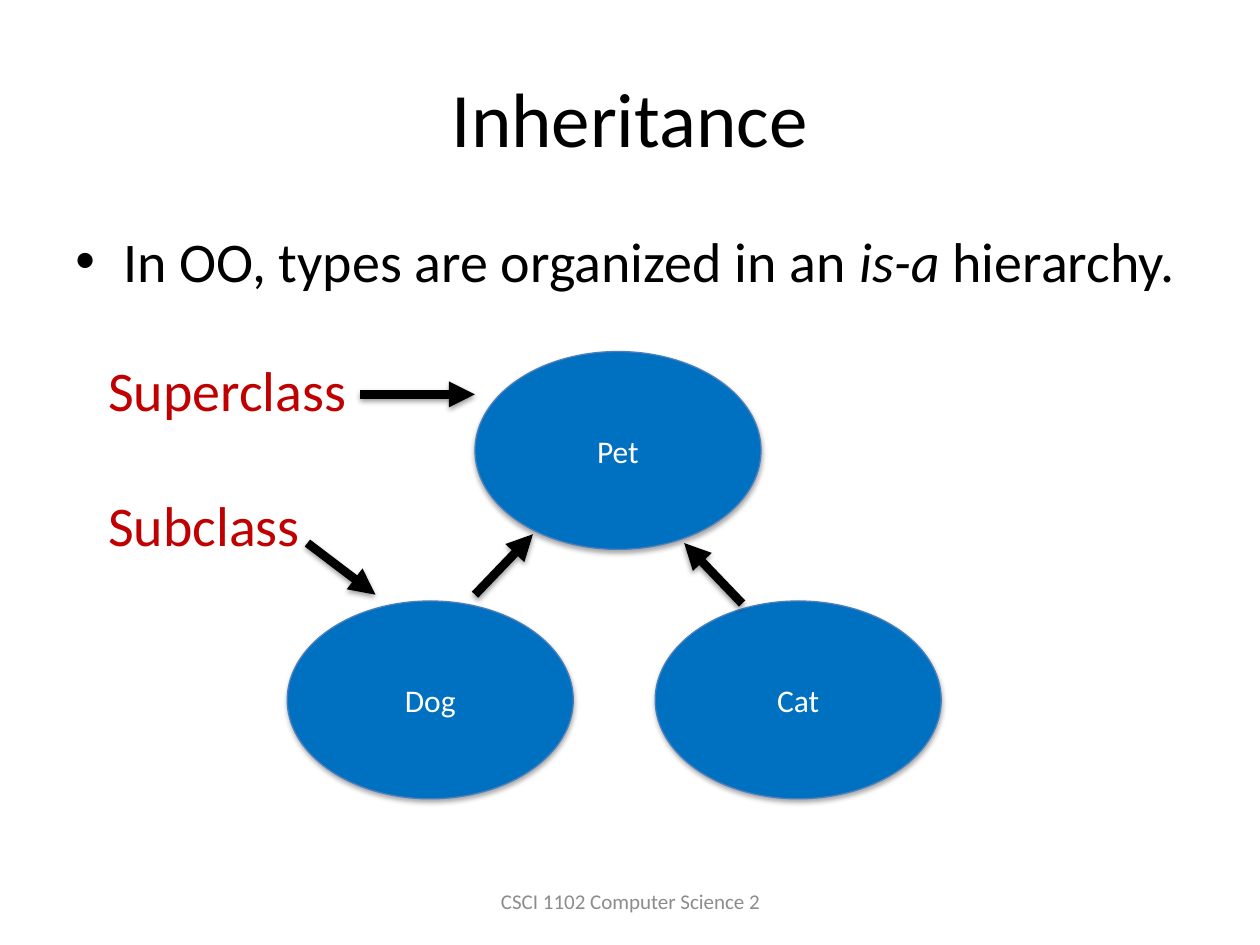
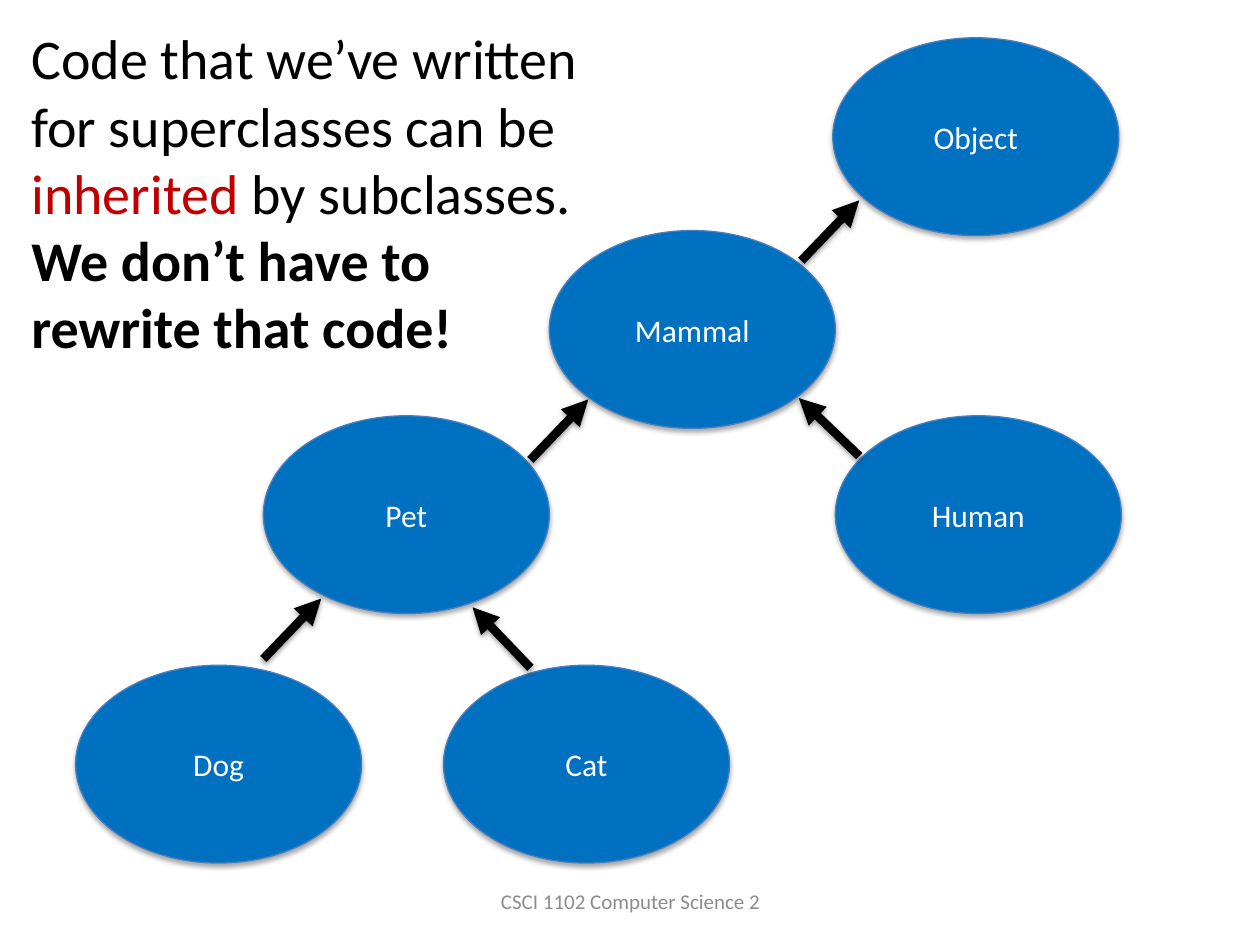
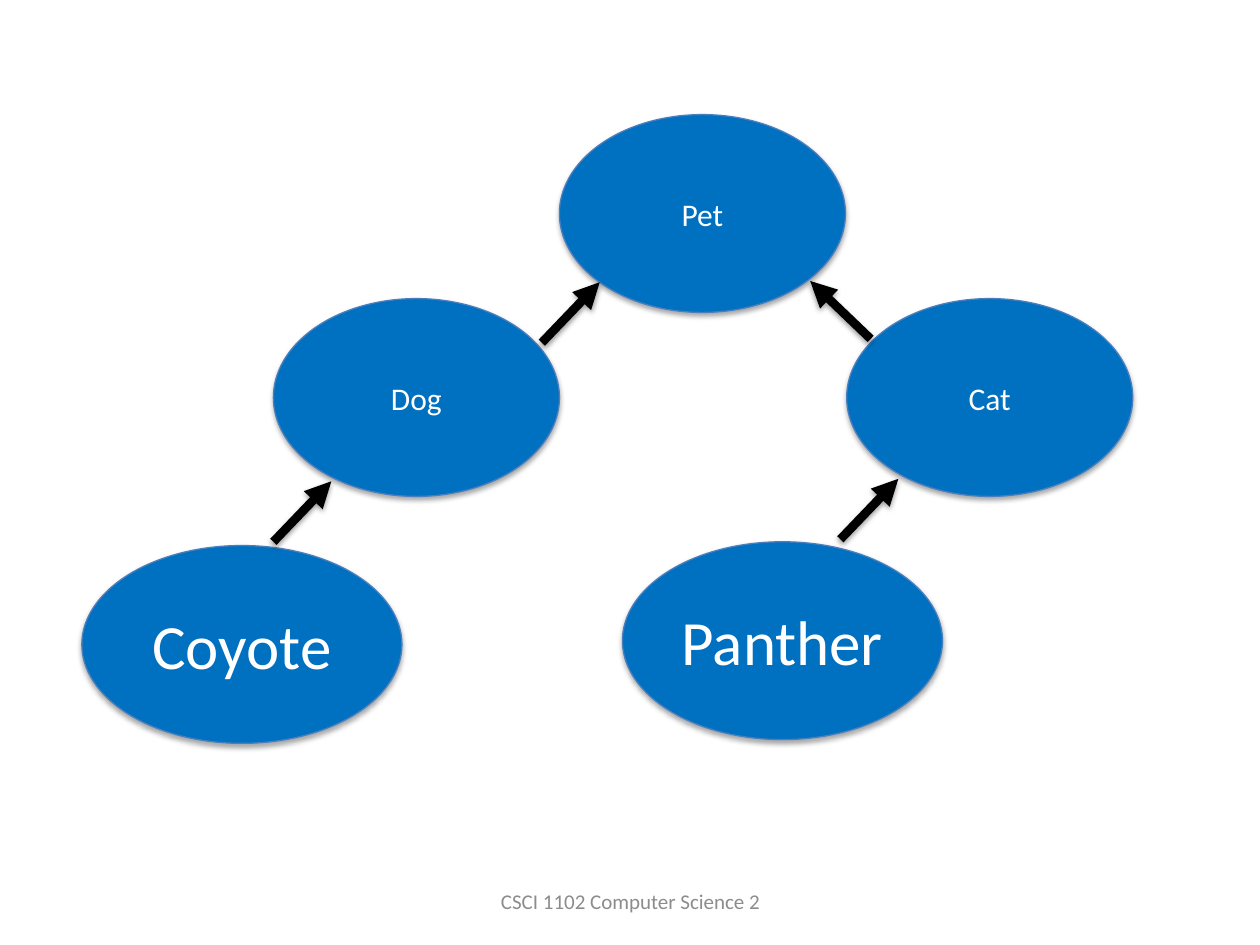
from dataclasses import dataclass

from lxml import etree
from pptx import Presentation
from pptx import util as u
from pptx.dml import color
from pptx.enum import shapes, text
from pptx.oxml import ns

COLORS = {
    "black": "000000",
    "white": "FFFFFF",
    "red": "C00000",
    "gray": "8C8C8C",
    "node": "0070C0",
    "outline": "4B7EBC",
}
FONT = "Calibri"
NODE_W, NODE_H, WIDE_NODE_W = 2.27, 1.57, 2.54
UP_RIGHT = (0.46, -0.48)
UP_LEFT = (-0.46, -0.48)
FLAT_UP_LEFT = (-0.48, -0.46)


@dataclass(frozen=True)
class Node:
    label: str
    x: float
    y: float
    w: float = NODE_W
    size: int = 18


@dataclass(frozen=True)
class Arrow:
    x: float
    y: float
    step: tuple[float, float]


def rgb(name: str) -> color.RGBColor:
    return color.RGBColor.from_string(COLORS[name])


def add_run(p, content: str, *, size: int = 32, fill: str = "black",
            bold: bool = False, italic: bool = False) -> None:
    r = p.add_run()
    r.text = content
    r.font.name = FONT
    r.font.size = u.Pt(size)
    r.font.bold = bold
    r.font.italic = italic
    r.font.color.rgb = rgb(fill)


def add_box(s, x: float, y: float, w: float, h: float, *, wrap: bool = True,
            anchor=text.MSO_ANCHOR.TOP, align=text.PP_ALIGN.LEFT):
    tf = s.shapes.add_textbox(*map(u.Inches, (x, y, w, h))).text_frame
    tf.word_wrap = wrap
    tf.vertical_anchor = anchor
    tf.paragraphs[0].alignment = align
    return tf


def add_centered(s, content: str, x: float, y: float, w: float, h: float,
                 **style) -> None:
    tf = add_box(s, x, y, w, h, anchor=text.MSO_ANCHOR.MIDDLE,
                 align=text.PP_ALIGN.CENTER)
    add_run(tf.paragraphs[0], content, **style)


def add_shadow(sp, distance: float, opacity: int) -> None:
    props = sp._element.spPr
    for old in props.findall(ns.qn("a:effectLst")):
        props.remove(old)
    effects = etree.SubElement(props, ns.qn("a:effectLst"))
    shadow = etree.SubElement(
        effects, ns.qn("a:outerShdw"), blurRad=str(u.Pt(3.1)),
        dist=str(u.Pt(distance)), dir="5400000", rotWithShape="0")
    tone = etree.SubElement(shadow, ns.qn("a:srgbClr"), val=COLORS["black"])
    etree.SubElement(tone, ns.qn("a:alpha"), val=str(opacity * 1000))


def add_node(s, node: Node) -> None:
    sp = s.shapes.add_shape(
        shapes.MSO_SHAPE.OVAL,
        *map(u.Inches, (node.x, node.y, node.w, NODE_H)))
    sp.fill.solid()
    sp.fill.fore_color.rgb = rgb("node")
    sp.line.color.rgb = rgb("outline")
    sp.line.width = u.Pt(0.75)
    add_shadow(sp, 1.8, 35)
    tf = sp.text_frame
    tf.margin_left = tf.margin_right = 0
    tf.vertical_anchor = text.MSO_ANCHOR.MIDDLE
    p = tf.paragraphs[0]
    p.alignment = text.PP_ALIGN.CENTER
    add_run(p, node.label, size=node.size, fill="white")


def add_arrow(s, arrow: Arrow) -> None:
    dx, dy = arrow.step
    ends = (arrow.x, arrow.y, arrow.x + dx, arrow.y + dy)
    sp = s.shapes.add_connector(
        shapes.MSO_CONNECTOR.STRAIGHT, *map(u.Inches, ends))
    sp.line.color.rgb = rgb("black")
    sp.line.width = u.Pt(5)
    etree.SubElement(sp.line._get_or_add_ln(), ns.qn("a:tailEnd"),
                     type="triangle")
    add_shadow(sp, 1.6, 38)


def add_diagram(s, nodes: list[Node], arrows: list[Arrow]) -> None:
    for node in nodes:
        add_node(s, node)
    for arrow in arrows:
        add_arrow(s, arrow)


def add_pet_family(s, x: float, y: float) -> None:
    add_diagram(
        s,
        [Node("Pet", x, y), Node("Dog", x - 1.49, y + 1.98),
         Node("Cat", x + 1.43, y + 1.98)],
        [Arrow(x, y + 1.93, UP_RIGHT), Arrow(x + 2.12, y + 2, UP_LEFT)])


def add_slide(prs):
    s = prs.slides.add_slide(prs.slide_layouts[6])
    add_centered(s, "CSCI 1102 Computer Science 2", 3.42, 6.95, 3.17, 0.4,
                 size=12, fill="gray")
    return s


def add_bullet(p) -> None:
    props = p._p.get_or_add_pPr()
    props.set("marL", str(u.Inches(0.38)))
    props.set("indent", str(u.Inches(-0.38)))
    etree.SubElement(props, ns.qn("a:buFont"), typeface="Arial")
    etree.SubElement(props, ns.qn("a:buChar"), char="•")


def build_inheritance(prs) -> None:
    s = add_slide(prs)
    add_centered(s, "Inheritance", 0.5, 0.3, 9, 1.25, size=44)
    p = add_box(s, 0.5, 1.75, 9, 4.95).paragraphs[0]
    add_bullet(p)
    add_run(p, "In OO, types are organized in an ")
    add_run(p, "is-a", italic=True)
    add_run(p, " hierarchy.")
    add_pet_family(s, 3.77, 2.79)
    tf = add_box(s, 0.76, 2.77, 2.11, 1.72, wrap=False)
    add_run(tf.paragraphs[0], "Superclass", fill="red")
    p = tf.add_paragraph()
    p.space_before = u.Pt(39)
    add_run(p, "Subclass", fill="red")
    add_arrow(s, Arrow(2.86, 3.13, (0.91, 0)))
    add_arrow(s, Arrow(2.44, 4.31, (0.54, 0.41)))


def build_code_reuse(prs) -> None:
    s = add_slide(prs)
    add_pet_family(s, 2.09, 3.3)
    add_diagram(
        s,
        [Node("Object", 6.61, 0.3), Node("Mammal", 4.36, 1.83),
         Node("Human", 6.63, 3.3)],
        [Arrow(4.21, 3.65, UP_RIGHT), Arrow(6.82, 3.62, FLAT_UP_LEFT),
         Arrow(6.36, 2.07, UP_RIGHT)])
    p = add_box(s, 0.15, 0.14, 4.62, 2.79).paragraphs[0]
    add_run(p, "Code that we’ve written for superclasses can be ")
    add_run(p, "inherited", fill="red")
    add_run(p, " by subclasses. ")
    add_run(p, "We don’t have to rewrite that code!", bold=True)


def build_new_subclasses(prs) -> None:
    s = add_slide(prs)
    add_diagram(
        s,
        [Node("Coyote", 0.65, 4.33, WIDE_NODE_W, 36),
         Node("Dog", 2.17, 2.37),
         Node("Panther", 4.94, 4.3, WIDE_NODE_W, 36),
         Node("Pet", 4.44, 0.91), Node("Cat", 6.72, 2.37)],
        [Arrow(2.17, 4.3, UP_RIGHT), Arrow(6.67, 4.28, UP_RIGHT),
         Arrow(4.3, 2.72, UP_RIGHT), Arrow(6.91, 2.69, FLAT_UP_LEFT)])


def main() -> None:
    prs = Presentation()
    prs.slide_width = u.Inches(10)
    prs.slide_height = u.Inches(7.5)
    build_inheritance(prs)
    build_code_reuse(prs)
    build_new_subclasses(prs)
    prs.save("out.pptx")


if __name__ == "__main__":
    main()
